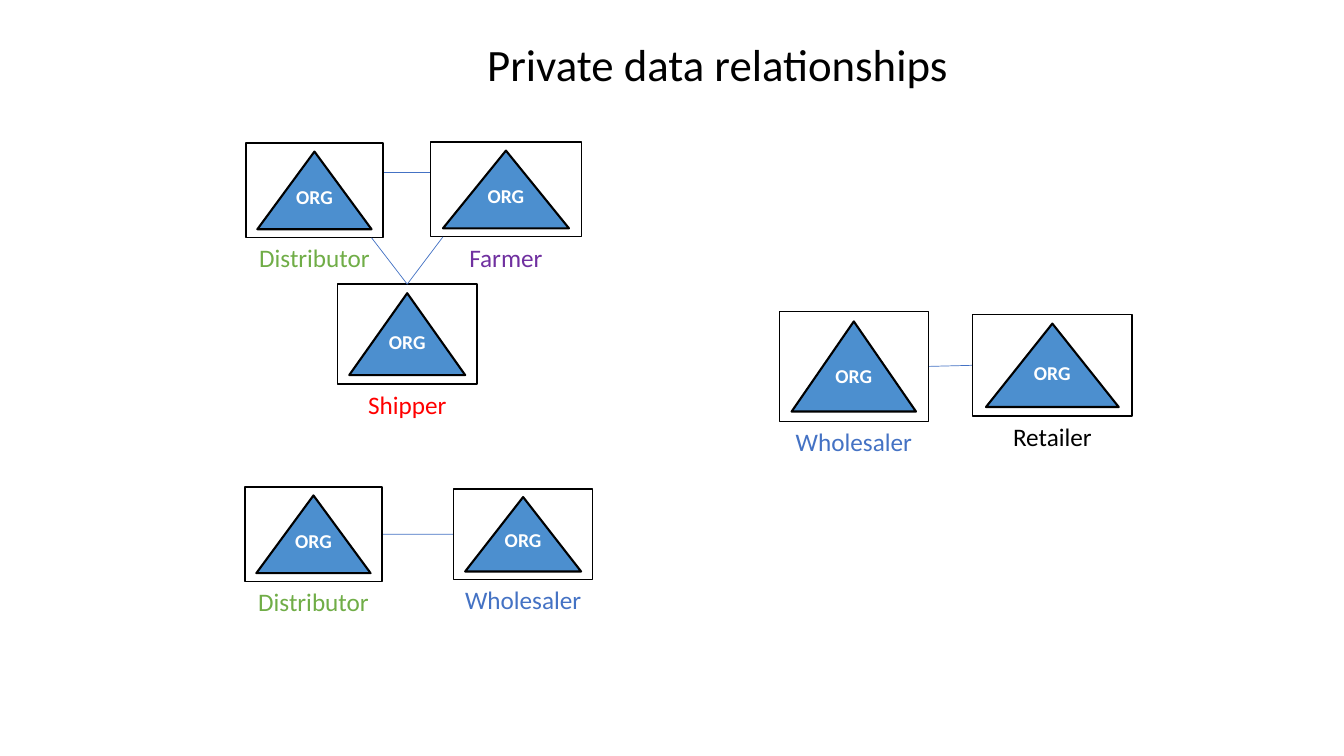
"""Build a slide of the private data relationships between organisations."""
from pptx import Presentation
from pptx.dml.color import RGBColor
from pptx.enum.shapes import MSO_CONNECTOR, MSO_SHAPE
from pptx.enum.text import MSO_ANCHOR, PP_ALIGN
from pptx.util import Pt
from lxml.etree import SubElement
from pptx.oxml.ns import qn

BLACK = RGBColor(0x00, 0x00, 0x00)
WHITE = RGBColor(0xFF, 0xFF, 0xFF)
STEEL = RGBColor(0x4C, 0x8F, 0xCF)
BLUE = RGBColor(0x44, 0x72, 0xC4)
GREEN = RGBColor(0x70, 0xAD, 0x47)
PURPLE = RGBColor(0x70, 0x30, 0xA0)
RED = RGBColor(0xFF, 0x00, 0x00)
FONT = "Calibri"
INSET = 3.6


def write(shape, text, size, color, bold=False, foot=INSET, anchor=MSO_ANCHOR.TOP):
    """Set centred text in one style."""
    frame = shape.text_frame
    frame.text = text
    frame.word_wrap = True
    frame.vertical_anchor = anchor
    frame.margin_left = frame.margin_right = frame.margin_top = Pt(INSET)
    frame.margin_bottom = Pt(foot)
    line = frame.paragraphs[0]
    line.alignment = PP_ALIGN.CENTER
    line.font.name, line.font.size = FONT, Pt(size)
    line.font.bold, line.font.color.rgb = bold, color


def outline(slide, kind, box, width):
    """Add an unfilled shape with a black outline."""
    shape = slide.shapes.add_shape(kind, *map(Pt, box))
    shape.shadow.inherit = False
    shape.fill.background()
    shape.line.color.rgb = BLACK
    shape.line.width = Pt(width)
    return shape


def link(slide, start, end):
    """Join two points with a thin line."""
    line = slide.shapes.add_connector(MSO_CONNECTOR.STRAIGHT, *map(Pt, start + end))
    line.line.color.rgb = BLUE
    line.line.width = Pt(0.5)
    SubElement(line._element.spPr, qn("a:effectLst"))


def add_org(slide, box, name, color):
    """Draw a framed triangle with the name below it."""
    x, y, w, h = box
    outline(slide, MSO_SHAPE.RECTANGLE, box, 1)
    inner = (x + w / 12, y + 0.09 * h, w * 5 / 6, 0.82 * h)
    mark = outline(slide, MSO_SHAPE.ISOSCELES_TRIANGLE, inner, 1.5)
    mark.fill.solid()
    mark.fill.fore_color.rgb = STEEL
    write(mark, "ORG", 14, WHITE, True, 22.3, MSO_ANCHOR.MIDDLE)
    label = slide.shapes.add_textbox(Pt(x), Pt(y + h), Pt(w), Pt(28.8))
    write(label, name, 18, color)


def add_pair(slide, left, right, first, second):
    """Draw two organisations joined at mid height."""
    link(slide, (left[0] + left[2], left[1] + left[3] / 2),
         (right[0], right[1] + right[3] / 2))
    add_org(slide, left, *first)
    add_org(slide, right, *second)


def add_trio(slide, x, y):
    """Draw three organisations that all share data."""
    dist = (x, y + 0.7, 97.9, 67.7)
    farm = (x + 131.7, y, 108, 67.7)
    ship = (x + 65.5, y + 101.5, 99.4, 71.3)
    top = (ship[0] + ship[2] / 2, ship[1])
    link(slide, (x + dist[2], y + 21.6), (farm[0], y + 21.6))
    add_org(slide, farm, "Farmer", PURPLE)
    add_org(slide, ship, "Shipper", RED)
    add_org(slide, dist, "Distributor", GREEN)
    link(slide, top, (x + dist[2] * 11 / 12, dist[1] + dist[3]))
    link(slide, top, (farm[0] + farm[2] / 12, y + farm[3]))


def add_title(slide, x, y, w, h):
    """Place the slide title."""
    title = slide.shapes.title
    title.left, title.top, title.width, title.height = map(Pt, (x, y, w, h))
    write(title, "Private data relationships", 32, BLACK)


def main():
    """Build and save the slide."""
    deck = Presentation()
    deck.slide_width, deck.slide_height = Pt(960), Pt(540)
    slide = deck.slides.add_slide(deck.slide_layouts[5])
    add_title(slide, 290.5, 22.3, 444.2, 46.1)
    add_trio(slide, 175.7, 101.5)
    seller = ("Wholesaler", BLUE)
    add_pair(slide, (175, 347.8, 97.9, 67.7), (324, 349.2, 99.4, 64.8),
             ("Distributor", GREEN), seller)
    add_pair(slide, (556.6, 222.5, 106.6, 78.5), (694.8, 224.6, 113.8, 72.7),
             seller, ("Retailer", BLACK))
    deck.save("out.pptx")


main()
